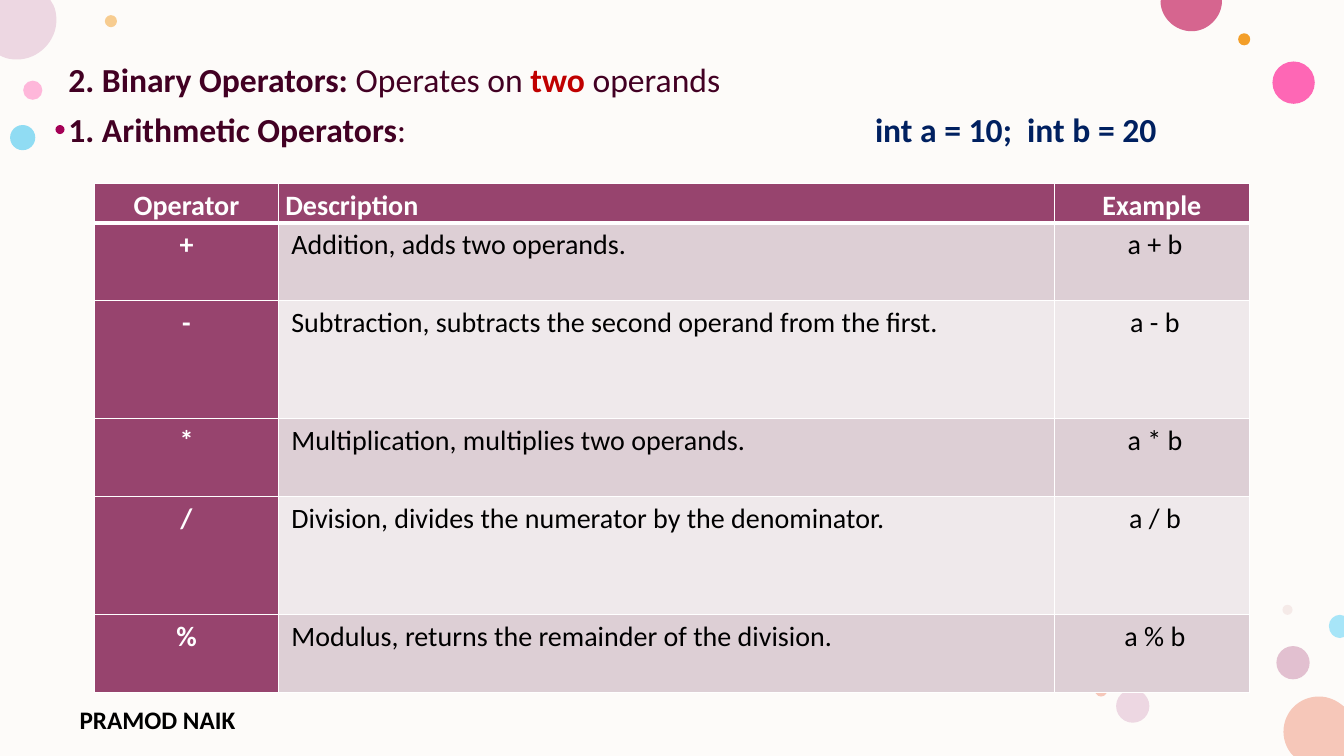
from lxml import etree
from pptx import Presentation
from pptx.dml.color import RGBColor
from pptx.enum.shapes import MSO_SHAPE
from pptx.enum.text import PP_ALIGN
from pptx.oxml.ns import qn
from pptx.util import Inches, Pt

ELLIPSE = MSO_SHAPE.OVAL
RECTANGLE = MSO_SHAPE.RECTANGLE
LEFT = PP_ALIGN.LEFT
CENTER = PP_ALIGN.CENTER

WIDTH, HEIGHT = 13.33, 7.5
FONT = "Calibri"
PLUM, DARK_PLUM, NAVY = "97446E", "420023", "002060"
WHITE, BLACK = "FFFFFF", "000000"
BANDS = ["DDCFD5", "EFE9EB"]

DOTS = [
    (0.23, 0.8, 0.19, "FF75BD", 50),
    (1.04, 0.15, 0.12, "F39E29", 50),
    (12.66, 6.41, 0.33, "C987A8", 50),
    (0.1, 1.24, 0.25, "24BEEE", 50),
    (12.62, 0.61, 0.42, "FF2F9C", 72),
    (12.28, 0.33, 0.12, "F39E29", 100),
    (12.72, 6, 0.1, "E3BEBE", 28),
    (11.07, 6.84, 0.33, "EDD7E2", 100),
    (10.86, 6.79, 0.12, "F6C7B9", 100),
    (0.55, 1.24, 0.09, "A40056", 100),
]
EDGE_DOTS = [
    ("F6C7B9", (13.08, 6.91), [
        (13.18, 6.91, 13.26, 6.95, 13.33, 7.01), (13.33, 7.5), (12.83, 7.5),
        (12.81, 7.48), (12.76, 7.42, 12.73, 7.34, 12.73, 7.26),
        (12.73, 7.06, 12.89, 6.91, 13.08, 6.91)]),
    ("EDD7E2", (0, 0), [
        (0.5, 0), (0.53, 0.05), (0.55, 0.09, 0.56, 0.14, 0.56, 0.2),
        (0.56, 0.41, 0.38, 0.59, 0.17, 0.59),
        (0.11, 0.59, 0.06, 0.58, 0.02, 0.56), (0, 0.55)]),
    ("D6658F", (11.52, 0), [
        (12.12, 0), (12.12, 0.01), (12.12, 0.17, 11.98, 0.31, 11.82, 0.31),
        (11.65, 0.31, 11.51, 0.17, 11.51, 0.01)]),
    ("A7E5F8", (13.29, 6.1), [
        (13.33, 6.11), (13.33, 6.32), (13.29, 6.33),
        (13.23, 6.33, 13.18, 6.28, 13.18, 6.21),
        (13.18, 6.15, 13.23, 6.1, 13.29, 6.1)]),
]
COLUMN_WIDTHS = [1.82, 7.7, 1.93]
ROW_HEIGHTS = [0.39, 0.77, 1.17, 0.78, 1.17, 0.77]
ROWS = [
    ("Operator", "Description", "Example"),
    ("+", "Addition, adds two operands.", "a + b"),
    ("-", "Subtraction, subtracts the second operand from the first.", "a - b"),
    ("*", "Multiplication, multiplies two operands.", "a * b"),
    ("/", "Division, divides the numerator by the denominator.", "a / b"),
    ("%", "Modulus, returns the remainder of the division.", "a % b"),
]
HEADING = [
    ("2. Binary Operators: ", DARK_PLUM, True),
    ("Operates on ", DARK_PLUM, False),
    ("two", "C00000", True),
    (" operands", DARK_PLUM, False),
]
SUBHEADING = [
    ("1. Arithmetic Operators", DARK_PLUM, True),
    (":\t", DARK_PLUM, False),
    ("int a = 10;\tint b = 20", NAVY, True),
]


def color(value):
    return RGBColor.from_string(value)


def set_all(target, values):
    for name, value in values.items():
        setattr(target, name, value)


def paint(shape, fill, opacity=100):
    shape.shadow.inherit = False
    shape.line.fill.background()
    shape.fill.solid()
    shape.fill.fore_color.rgb = color(fill)
    if opacity < 100:
        for element in shape.fill._xPr.iter(qn("a:srgbClr")):
            etree.SubElement(element, qn("a:alpha"), val=str(opacity * 1000))


def add_shape(slide, preset, left, top, width, height, fill, opacity=100):
    shape = slide.shapes.add_shape(
        preset, Inches(left), Inches(top), Inches(width), Inches(height))
    paint(shape, fill, opacity)


def add_edge_dot(slide, fill, start, segments):
    builder = slide.shapes.build_freeform(Inches(start[0]), Inches(start[1]))
    builder.add_line_segments(
        [(Inches(segment[-2]), Inches(segment[-1])) for segment in segments], close=True)
    shape = builder.convert_to_shape()
    lines = list(shape._element.iter(qn("a:lnTo")))
    for line, segment in zip(lines, segments):
        if len(segment) == 6:
            curve = etree.Element(qn("a:cubicBezTo"))
            for x, y in zip(segment[::2], segment[1::2]):
                etree.SubElement(curve, qn("a:pt"), x=str(Inches(x) - shape.left),
                                 y=str(Inches(y) - shape.top))
            line.getparent().replace(line, curve)
    paint(shape, fill)


def add_run(paragraph, text, size, fill, bold):
    run = paragraph.add_run()
    run.text = text
    set_all(run.font, {"name": FONT, "size": Pt(size), "bold": bold})
    run.font.color.rgb = color(fill)


def add_tab_stops(paragraph, positions):
    tabs = etree.SubElement(paragraph._p.get_or_add_pPr(), qn("a:tabLst"))
    for position in positions:
        etree.SubElement(tabs, qn("a:tab"), pos=str(Inches(position)), algn="l")


def add_text(slide, left, top, width, height, lines, size, formats, tabs=()):
    box = slide.shapes.add_textbox(
        Inches(left), Inches(top), Inches(width), Inches(height))
    frame = box.text_frame
    frame.word_wrap = True
    for index, runs in enumerate(lines):
        paragraph = frame.add_paragraph() if index else frame.paragraphs[0]
        if any("\t" in run[0] for run in runs):
            add_tab_stops(paragraph, tabs)
        set_all(paragraph, formats)
        if index:
            paragraph.space_before = Pt(10)
        for text, fill, bold in runs:
            add_run(paragraph, text, size, fill, bold)


def add_borders(cell, widths):
    properties = cell._tc.get_or_add_tcPr()
    for side, width in widths.items():
        line = etree.SubElement(properties, qn("a:ln" + side), w=str(Pt(width)))
        fill = etree.SubElement(line, qn("a:solidFill"))
        etree.SubElement(fill, qn("a:srgbClr"), val=WHITE)


def fill_cell(cell, text, row, column):
    header = row == 0
    strong = header or column == 0
    indent = 0.07 if strong else 0.13
    add_borders(cell, {"L": 1, "R": 1, "T": 3 if row == 1 else 1, "B": 3 if header else 1})
    cell.fill.solid()
    cell.fill.fore_color.rgb = color(PLUM if strong else BANDS[(row - 1) % 2])
    set_all(cell, {"margin_left": Inches(indent), "margin_right": Inches(0.07),
                   "margin_top": 0, "margin_bottom": 0})
    paragraph = cell.text_frame.paragraphs[0]
    set_all(paragraph, {"alignment": LEFT if column == 1 else CENTER,
                        "line_spacing": 1.15, "space_after": Pt(8)})
    add_run(paragraph, text, 20, WHITE if strong else BLACK, strong)


def add_operator_table(slide):
    table = slide.shapes.add_table(
        len(ROWS), len(COLUMN_WIDTHS), Inches(0.94), Inches(1.82),
        Inches(sum(COLUMN_WIDTHS)), Inches(sum(ROW_HEIGHTS))).table
    set_all(table, {"first_row": True, "first_col": True, "horz_banding": False})
    for column, width in zip(table.columns, COLUMN_WIDTHS):
        column.width = Inches(width)
    for row, height in zip(table.rows, ROW_HEIGHTS):
        row.height = Inches(height)
    for row, texts in enumerate(ROWS):
        for column, text in enumerate(texts):
            fill_cell(table.cell(row, column), text, row, column)


def main():
    presentation = Presentation()
    set_all(presentation, {"slide_width": Inches(WIDTH), "slide_height": Inches(HEIGHT)})
    slide = presentation.slides.add_slide(presentation.slide_layouts[6])
    add_shape(slide, RECTANGLE, 0, 0, WIDTH, HEIGHT, "FDFBF9")
    for left, top, size, fill, opacity in DOTS:
        add_shape(slide, ELLIPSE, left, top, size, size, fill, opacity)
    for fill, start, segments in EDGE_DOTS:
        add_edge_dot(slide, fill, start, segments)
    add_text(slide, 0.69, 6.94, 2.45, 0.4, [[("PRAMOD NAIK", BLACK, True)]], 18, {})
    add_text(slide, 0.58, 0.58, 11.81, 1.1, [HEADING, SUBHEADING], 24,
             {"line_spacing": 0.9}, tabs=(8, 9.51))
    add_operator_table(slide)
    presentation.save("out.pptx")


if __name__ == "__main__":
    main()
